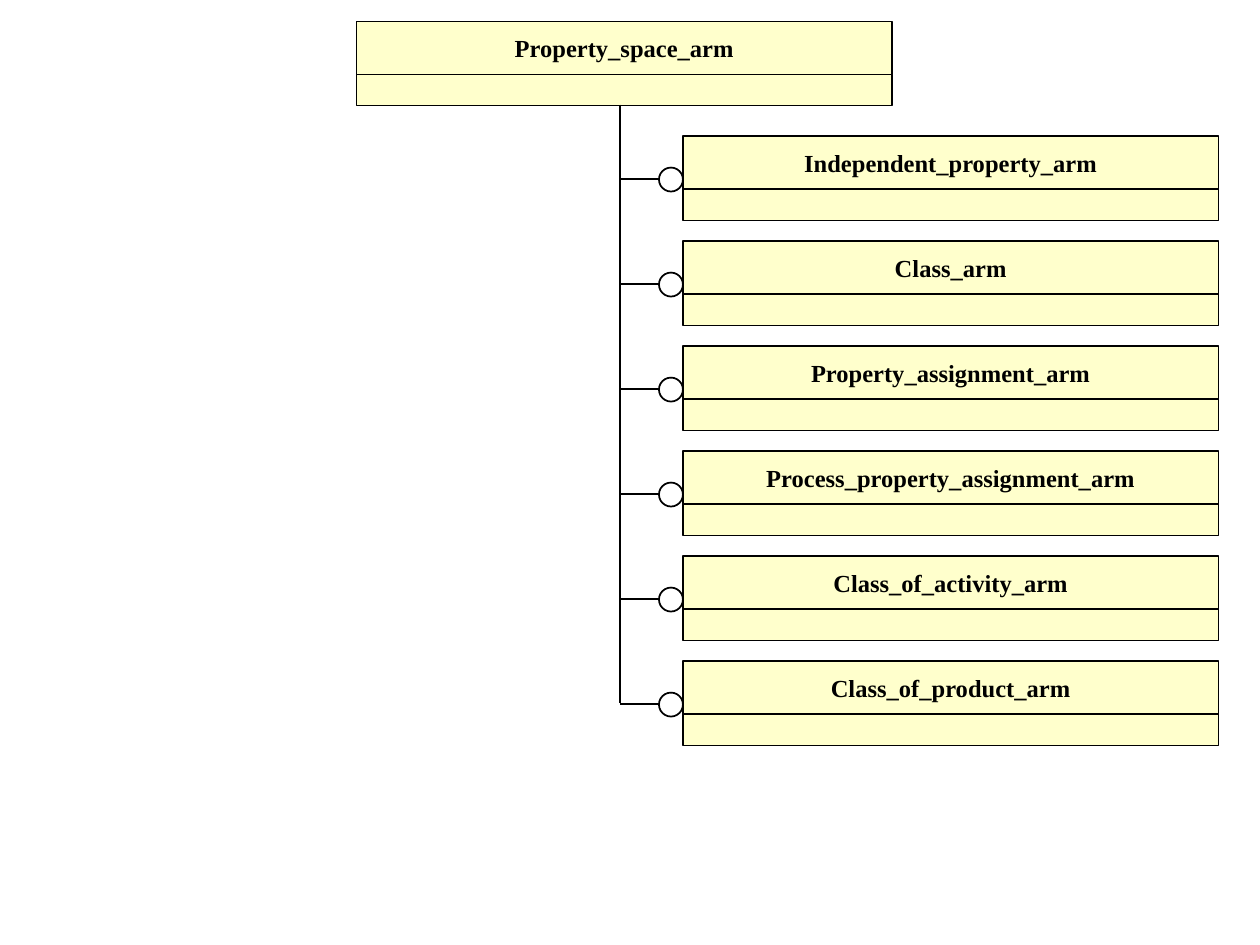
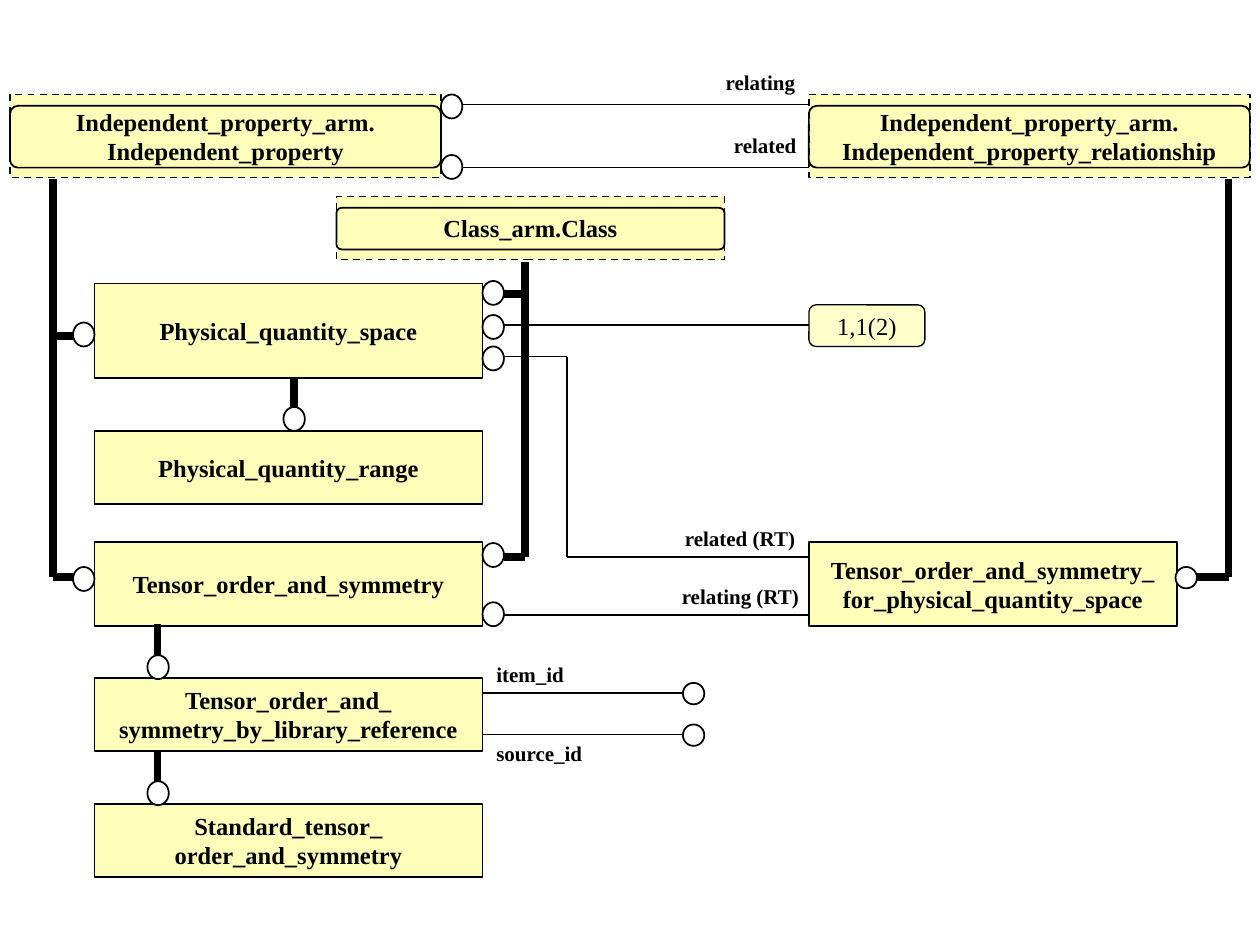
import pptx
import pptx.util
import pptx.dml.color
import pptx.enum.dml
import pptx.enum.shapes
import pptx.enum.text
from pptx.util import Inches
from lxml import etree

SHAPE = pptx.enum.shapes.MSO_SHAPE
ALIGN = pptx.enum.text.PP_ALIGN
FONT = "Times New Roman"
BLACK = "000000"
WHITE = "FFFFFF"
SCHEMA_FILL = "FFFFCC"
ENTITY_FILL = "FCFEB9"
THIN, NORMAL, SUBTYPE = 0.75, 1, 4.5
SCHEMA_PITCH = 5 / 6


def rgb(value):
    return pptx.dml.color.RGBColor.from_string(value)


def write(shape, text, size=14, bold=True, align=ALIGN.CENTER):
    tf = shape.text_frame
    tf.word_wrap = False
    tf.text = text
    for p in tf.paragraphs:
        p.alignment = align
        p.font.name = FONT
        p.font.size = pptx.util.Pt(size)
        p.font.bold = bold
        p.font.color.rgb = rgb(BLACK)


def draw(s, kind, left, top, width, height, fill=None, weight=NORMAL, dashed=False):
    sp = s.shapes.add_shape(kind, Inches(left), Inches(top), Inches(width), Inches(height))
    sp.shadow.inherit = False
    if fill:
        sp.fill.solid()
        sp.fill.fore_color.rgb = rgb(fill)
    else:
        sp.fill.background()
    sp.line.color.rgb = rgb(BLACK)
    sp.line.width = pptx.util.Pt(weight)
    if dashed:
        sp.line.dash_style = pptx.enum.dml.MSO_LINE.DASH
    return sp


def add_line(s, x1, y1, x2, y2, weight=NORMAL):
    line = s.shapes.add_connector(pptx.enum.shapes.MSO_CONNECTOR.STRAIGHT,
                                  Inches(x1), Inches(y1), Inches(x2), Inches(y2))
    line.line.color.rgb = rgb(BLACK)
    line.line.width = pptx.util.Pt(weight)
    etree.SubElement(line._element.spPr, pptx.oxml.ns.qn("a:effectLst"))


def add_circle(s, left, top, width=0.17, height=0.19):
    draw(s, SHAPE.OVAL, left, top, width, height, WHITE)


def add_schema(s, left, top, name):
    write(draw(s, SHAPE.RECTANGLE, left, top, 4.25, 0.42, SCHEMA_FILL, THIN), name)
    draw(s, SHAPE.RECTANGLE, left, top + 0.42, 4.25, 0.25, SCHEMA_FILL, THIN)


def add_entity(s, left, top, width, height, name):
    write(draw(s, SHAPE.RECTANGLE, left, top, width, height, ENTITY_FILL), name)


def add_external_entity(s, left, top, width, height, name):
    write(draw(s, SHAPE.RECTANGLE, left, top, width, height, ENTITY_FILL, dashed=True), name)
    frame = draw(s, SHAPE.ROUNDED_RECTANGLE, left, top + 0.09, width, height - 0.17)
    frame.adjustments[0] = 0.125


def add_label(s, left, top, width, text, align=ALIGN.RIGHT):
    box = s.shapes.add_textbox(Inches(left), Inches(top), Inches(width), Inches(0.3))
    write(box, text, 12, align=align)
    box.text_frame.word_wrap = True
    box.text_frame.auto_size = pptx.enum.text.MSO_AUTO_SIZE.SHAPE_TO_FIT_TEXT


def build_schema_slide(s):
    add_schema(s, 2.83, 0.17, "Property_space_arm")
    used_schemas = ["Independent_property_arm", "Class_arm", "Property_assignment_arm",
                    "Process_property_assignment_arm", "Class_of_activity_arm",
                    "Class_of_product_arm"]
    add_line(s, 4.92, 0.83, 4.92, 5.58, THIN)
    for i, name in enumerate(used_schemas):
        top = 1.08 + i * SCHEMA_PITCH
        add_schema(s, 5.42, top, name)
        add_line(s, 4.92, top + 0.34, 5.25, top + 0.34, THIN)
        add_circle(s, 5.23, top + 0.25, 0.19)


def build_entity_slide(s):
    for left, top, width, height, name in [
        (0.08, 0.75, 3.42, 0.66, "Independent_property_arm.\nIndependent_property"),
        (6.42, 0.75, 3.5, 0.66, "Independent_property_arm.\nIndependent_property_relationship"),
        (2.67, 1.56, 3.08, 0.5, "Class_arm.Class"),
    ]:
        add_external_entity(s, left, top, width, height, name)

    for top, height, name in [
        (2.25, 0.75, "Physical_quantity_space"),
        (3.42, 0.58, "Physical_quantity_range"),
        (4.3, 0.67, "Tensor_order_and_symmetry"),
        (5.38, 0.58, "Tensor_order_and_\nsymmetry_by_library_reference"),
        (6.38, 0.58, "Standard_tensor_\norder_and_symmetry"),
    ]:
        add_entity(s, 0.75, top, 3.08, height, name)
    add_entity(s, 6.42, 4.3, 2.92, 0.67,
               "Tensor_order_and_symmetry_\nfor_physical_quantity_space")

    page_ref = draw(s, SHAPE.ROUNDED_RECTANGLE, 6.42, 2.42, 0.92, 0.33, SCHEMA_FILL, THIN)
    write(page_ref, "1,1(2)", bold=False)

    for ends in [
        (0.42, 1.42, 0.42, 4.58), (0.42, 2.67, 0.58, 2.67), (0.42, 4.58, 0.58, 4.58),
        (4.17, 2.08, 4.17, 4.42), (4, 2.33, 4.17, 2.33), (4, 4.42, 4.17, 4.42),
        (9.75, 1.42, 9.75, 4.58), (9.5, 4.58, 9.75, 4.58),
        (2.33, 3, 2.33, 3.25), (1.25, 4.95, 1.25, 5.2), (1.25, 5.97, 1.25, 6.22),
    ]:
        add_line(s, *ends, SUBTYPE)

    for ends in [
        (3.67, 0.83, 6.42, 0.83), (3.67, 1.33, 6.42, 1.33), (4, 2.58, 6.42, 2.58),
        (4, 2.83, 4.5, 2.83), (4.5, 2.83, 4.5, 4.42), (4.5, 4.42, 6.42, 4.42),
        (4, 4.88, 6.42, 4.88), (3.83, 5.5, 5.42, 5.5), (3.83, 5.83, 5.42, 5.83),
    ]:
        add_line(s, *ends)

    for left, tops in [
        (0.58, (2.56, 4.5)), (1.17, (5.2, 6.2)), (2.25, (3.23,)),
        (3.5, (0.75, 1.23)), (3.83, (2.23, 2.5, 2.75, 4.31, 4.78)),
    ]:
        for top in tops:
            add_circle(s, left, top)
    for left, top in [(9.33, 4.5), (5.42, 5.42), (5.42, 5.75)]:
        add_circle(s, left, top, height=0.17)

    add_label(s, 5.61, 0.5, 0.8, "relating")
    add_label(s, 5.62, 1, 0.8, "related")
    add_label(s, 4.58, 4.12, 1.83, "related (RT)")
    add_label(s, 5.24, 4.58, 1.2, "relating (RT)")
    add_label(s, 3.84, 5.2, 0.85, "item_id", ALIGN.LEFT)
    add_label(s, 3.84, 5.83, 0.95, "source_id", ALIGN.LEFT)


def main():
    prs = pptx.Presentation()
    prs.slide_width = Inches(10)
    prs.slide_height = Inches(7.5)
    for build in (build_schema_slide, build_entity_slide):
        build(prs.slides.add_slide(prs.slide_layouts[6]))
    prs.save("out.pptx")


if __name__ == "__main__":
    main()
